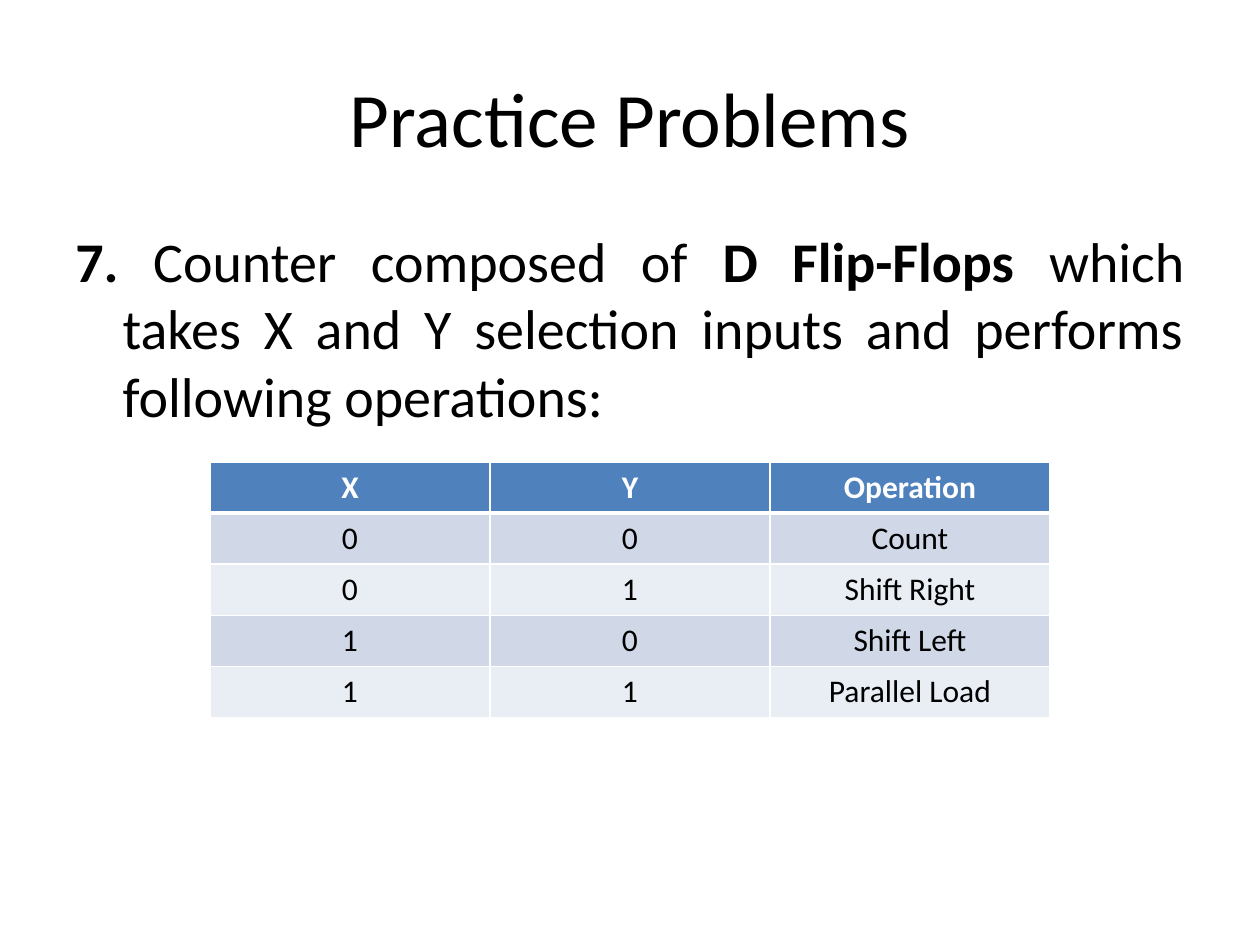
from lxml import etree
from pptx import Presentation
from pptx import util as u
from pptx.dml.color import RGBColor
from pptx.enum import text
from pptx.oxml.ns import qn

BLACK = RGBColor(0x00, 0x00, 0x00)
WHITE = RGBColor(0xFF, 0xFF, 0xFF)
HEADER_BLUE = RGBColor(0x4F, 0x81, 0xBD)
BANDS = (RGBColor(0xD0, 0xD8, 0xE8), RGBColor(0xE9, 0xED, 0xF4))

FONT = "Calibri"
CENTER = text.PP_ALIGN.CENTER
OPERATIONS = [
    ("X", "Y", "Operation"),
    ("0", "0", "Count"),
    ("0", "1", "Shift Right"),
    ("1", "0", "Shift Left"),
    ("1", "1", "Parallel Load"),
]


def write(frame, spans, size, color=BLACK, align=CENTER, hanging=0, before=0):
    """Fill the first paragraph with (wording, bold) spans."""
    para = frame.paragraphs[0]
    para.alignment = align
    para.space_before = u.Pt(before)
    if hanging:
        properties = para._p.get_or_add_pPr()
        properties.set("marL", str(u.Pt(hanging)))
        properties.set("indent", str(-u.Pt(hanging)))
    for wording, bold in spans:
        span = para.add_run()
        span.text = wording
        span.font.name = FONT
        span.font.size = u.Pt(size)
        span.font.bold = bold
        span.font.color.rgb = color


def add_text_box(slide, box, anchor, spans, **style):
    frame = slide.shapes.add_textbox(*map(u.Pt, box)).text_frame
    frame.word_wrap = True
    frame.vertical_anchor = anchor
    write(frame, spans, **style)


def add_title(slide, box):
    add_text_box(slide, box, text.MSO_ANCHOR.MIDDLE,
                 [("Practice Problems", False)], size=44)


def add_problem(slide, box):
    spans = [
        ("7. ", True),
        ("Counter composed of ", False),
        ("D Flip-Flops ", True),
        ("which takes X and Y selection inputs and performs "
         "following operations:", False),
    ]
    add_text_box(slide, box, text.MSO_ANCHOR.TOP, spans, size=32,
                 align=text.PP_ALIGN.JUSTIFY, hanging=27, before=6.4)


def set_borders(cell, bottom=1, top=1):
    """Draw white cell borders; widths are in points."""
    properties = cell._tc.get_or_add_tcPr()
    widths = {"a:lnL": 1, "a:lnR": 1, "a:lnT": top, "a:lnB": bottom}
    for index, (side, width) in enumerate(widths.items()):
        line = etree.Element(qn(side), w=str(u.Pt(width)))
        fill = etree.SubElement(line, qn("a:solidFill"))
        etree.SubElement(fill, qn("a:srgbClr"), val=str(WHITE))
        properties.insert(index, line)


def add_operations_table(slide, box):
    left, top, width, height = map(u.Pt, box)
    rows, columns = len(OPERATIONS), len(OPERATIONS[0])
    table = slide.shapes.add_table(rows, columns, left, top, width, height).table
    for r, values in enumerate(OPERATIONS):
        header = r == 0
        for c, value in enumerate(values):
            cell = table.cell(r, c)
            cell.fill.solid()
            cell.fill.fore_color.rgb = HEADER_BLUE if header else BANDS[(r - 1) % 2]
            set_borders(cell, bottom=3 if header else 1, top=3 if r == 1 else 1)
            write(cell.text_frame, [(value, header)], size=18,
                  color=WHITE if header else BLACK)


def main():
    deck = Presentation()
    deck.slide_width, deck.slide_height = u.Pt(720), u.Pt(540)
    slide = deck.slides.add_slide(deck.slide_layouts[6])

    # Heading, problem statement and operation table
    add_title(slide, (36, 21.6, 648, 90))
    add_problem(slide, (36, 126, 648, 356.4))
    add_operations_table(slide, (120, 264, 480, 146))

    deck.save("out.pptx")


if __name__ == "__main__":
    main()
